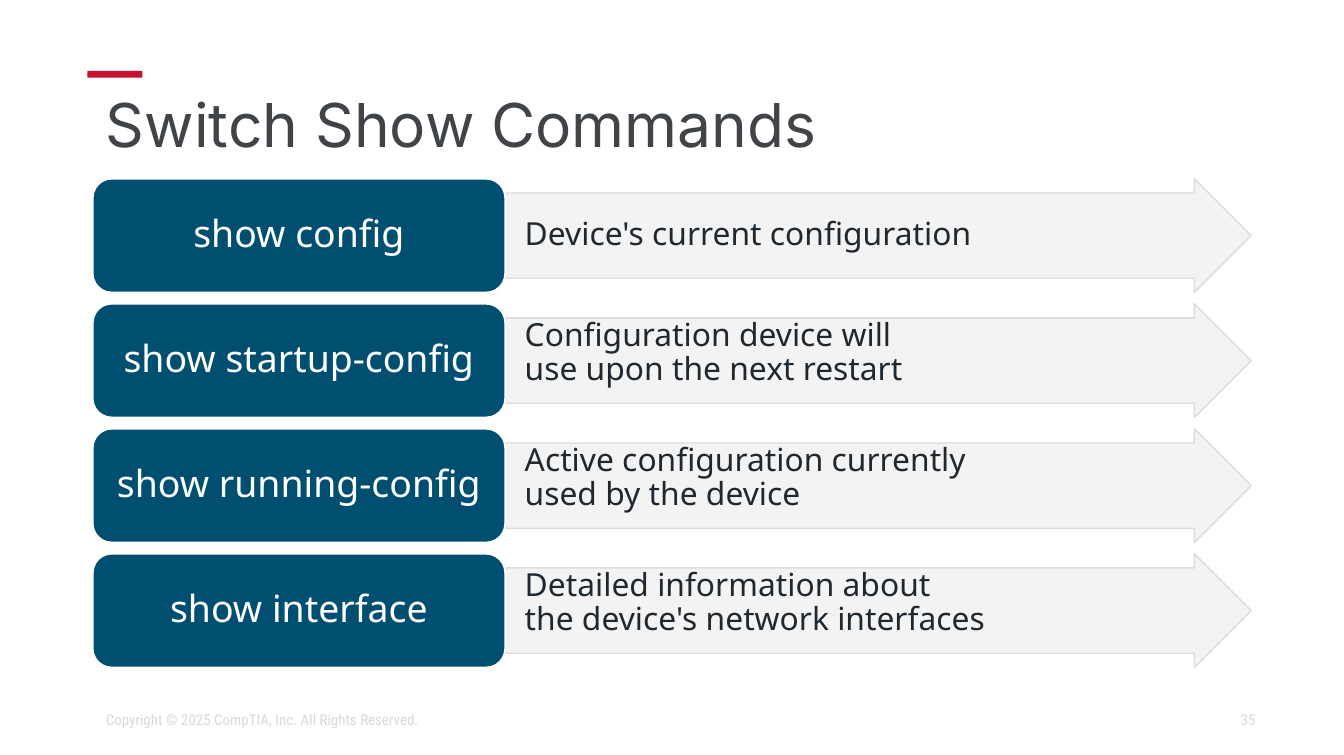
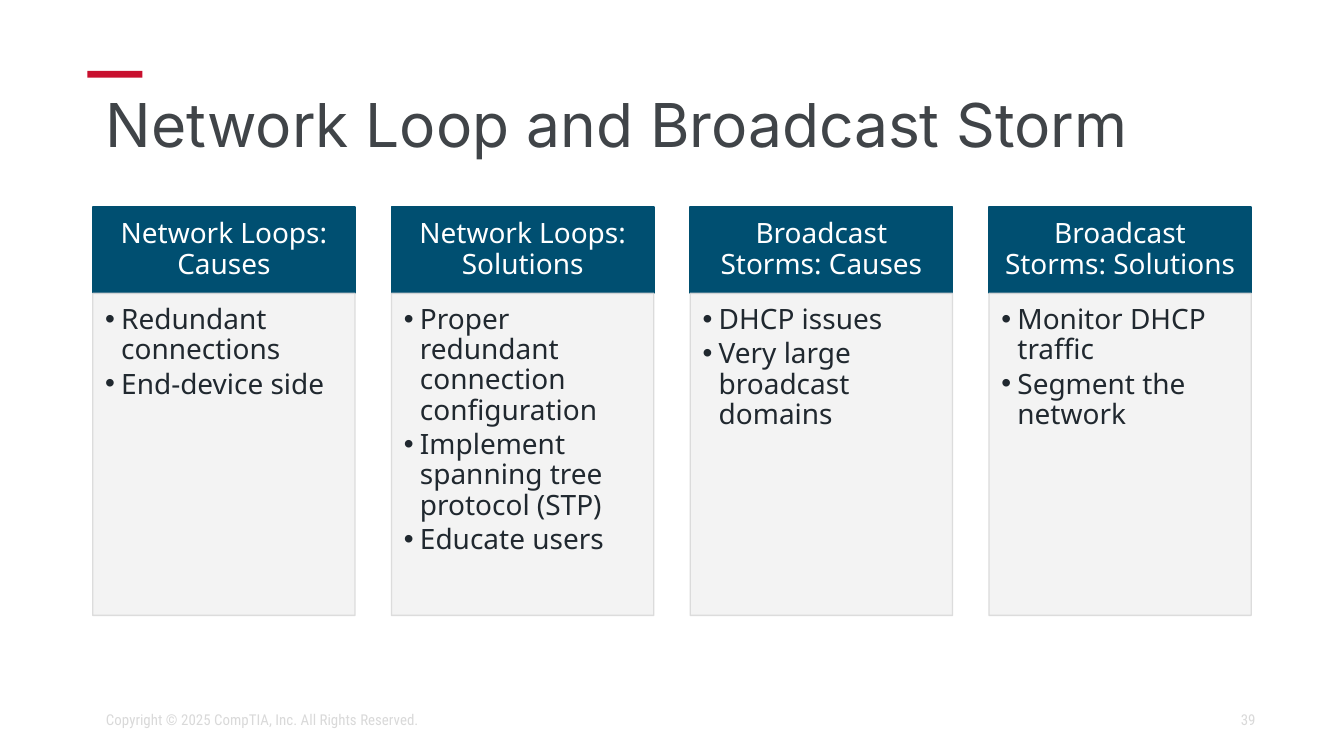
from copy import deepcopy
from dataclasses import dataclass

from lxml.etree import SubElement
from pptx import Presentation
from pptx.dml.color import RGBColor
from pptx.enum.shapes import MSO_SHAPE
from pptx.enum.text import MSO_ANCHOR, PP_ALIGN
from pptx.oxml.ns import qn
from pptx.util import Pt

SHOW = {
    "title": "Switch Show Commands",
    "page": "35",
    "rows": [
        ("show config", "Device's current configuration"),
        ("show startup-config", "Configuration device will\nuse upon the next restart"),
        ("show running-config", "Active configuration currently\nused by the device"),
        ("show interface", "Detailed information about\nthe device's network interfaces"),
    ],
}
STORM = {
    "title": "Network Loop and Broadcast Storm",
    "page": "39",
    "cols": [
        ("Network Loops: Causes", ["Redundant connections", "End-device side"]),
        ("Network Loops: Solutions", [
            "Proper redundant connection configuration",
            "Implement spanning tree protocol (STP)",
            "Educate users",
        ]),
        ("Broadcast Storms: Causes", ["DHCP issues", "Very large broadcast domains"]),
        ("Broadcast Storms: Solutions", ["Monitor DHCP traffic", "Segment the network"]),
    ],
}
RIGHTS = "Copyright © 2025 CompTIA, Inc. All Rights Reserved."


@dataclass(frozen=True)
class Theme:
    red: str = "C8102E"
    slate: str = "404448"
    blue: str = "004F71"
    edge: str = "004F70"
    ink: str = "20282F"
    white: str = "FFFFFF"
    pale: str = "F2F2F2"
    grey: str = "D9D9D9"
    head: str = "Inter"
    body: str = "Noto Sans"
    small: str = "Roboto Condensed"
    dot: str = "Arial"
    title: float = 32.4
    label: float = 20
    note: float = 17
    card: float = 15
    foot: float = 8


T = Theme()
WIDE, HIGH = 720, 404.64
LEFT, RIGHT = 49.7, 670.3
INSET = (7.2, 3.6, 7.2, 3.6)


def fade(fill):
    color = fill._xPr.find(qn("a:solidFill"))[0]
    SubElement(color, qn("a:alpha"), val="90000")


def draw(slide, kind, box, fill, line=None, width=1, clear=False):
    shape = slide.shapes.add_shape(kind, *map(Pt, box))
    shape.shadow.inherit = False
    shape.fill.solid()
    shape.fill.fore_color.rgb = RGBColor.from_string(fill)
    if line:
        shape.line.color.rgb = RGBColor.from_string(line)
        shape.line.width = Pt(width)
    else:
        shape.line.fill.background()
    if clear:
        fade(shape.fill)
        fade(shape.line.fill)
    return shape


def panel(slide, kind, box):
    return draw(slide, kind, box, T.pale, T.grey, 0.75, True)


def write(shape, items, font, size, color, align=PP_ALIGN.LEFT,
          anchor=MSO_ANCHOR.MIDDLE, inset=INSET, space=0.9, after=0, dots=False):
    frame = shape.text_frame
    frame.word_wrap = True
    frame.vertical_anchor = anchor
    (frame.margin_left, frame.margin_top,
     frame.margin_right, frame.margin_bottom) = map(Pt, inset)
    for num, item in enumerate(items):
        para = frame.add_paragraph() if num else frame.paragraphs[0]
        para.text = item
        para.alignment = align
        para.line_spacing = space
        para.space_after = Pt(round(size * after, 2))
        if dots:
            props = para._p.get_or_add_pPr()
            props.set("marL", str(Pt(8.64)))
            props.set("indent", str(-Pt(8.64)))
            SubElement(props, qn("a:buFont"), typeface=T.dot)
            SubElement(props, qn("a:buChar"), char="•")
        for run in para.runs:
            run.font.name = font
            run.font.size = Pt(size)
            run.font.color.rgb = RGBColor.from_string(color)
        for gap in para._p.findall(qn("a:br")):
            gap.append(deepcopy(para.runs[0]._r.rPr))


def label(slide, box, text, *style, **more):
    write(slide.shapes.add_textbox(*map(Pt, box)), [text], *style, **more)


def start(deck, data):
    slide = deck.slides.add_slide(deck.slide_layouts[6])
    draw(slide, MSO_SHAPE.RECTANGLE, (46.8, 38, 29.5, 3.6), T.red)
    label(slide, (LEFT, 46, RIGHT - LEFT, 45.4), data["title"], T.head, T.title, T.slate)
    foot = (T.small, T.foot, T.grey)
    label(slide, (508.3, 375, 171.4, 21.6), data["page"], *foot,
          align=PP_ALIGN.RIGHT, space=1)
    label(slide, (LEFT, 375, 310.3, 21.6), RIGHTS, *foot, space=1)
    return slide


def show(deck, data):
    slide = start(deck, data)
    top, high, step, wide = 95.8, 61, 67, 221
    for num, (name, note) in enumerate(data["rows"]):
        y = top + num * step
        x = LEFT + wide
        arrow = panel(slide, MSO_SHAPE.RIGHT_ARROW, (x, y, RIGHT - x, high))
        arrow.adjustments[0] = 0.75
        arrow.adjustments[1] = 0.5
        anchor = MSO_ANCHOR.TOP if "\n" in note else MSO_ANCHOR.MIDDLE
        write(arrow, [note], T.body, T.note, T.ink, anchor=anchor,
              inset=(10.4, 0.75, 0.75, 0.75), after=0.15)
        block = draw(slide, MSO_SHAPE.ROUNDED_RECTANGLE, (LEFT, y, wide, high),
                     T.blue, T.white)
        write(block, [name], T.body, T.label, T.white, PP_ALIGN.CENTER,
              inset=(6, 3, 6, 3), after=0.35)


def storm(deck, data):
    slide = start(deck, data)
    top, cap, deep, wide = 110.8, 46.4, 172.6, 140.5
    cols = data["cols"]
    step = (RIGHT - LEFT - wide) / (len(cols) - 1)
    for num, (name, items) in enumerate(cols):
        x = LEFT + num * step
        head = draw(slide, MSO_SHAPE.RECTANGLE, (x, top, wide, cap), T.blue, T.edge)
        write(head, [name], T.body, T.card, T.white, PP_ALIGN.CENTER,
              inset=(8.4, 4.8, 8.4, 4.8), after=0.35)
        card = panel(slide, MSO_SHAPE.RECTANGLE, (x, top + cap, wide, deep))
        write(card, items, T.body, T.card, T.ink, anchor=MSO_ANCHOR.TOP,
              inset=(6.6, 6.4, 8.5, 9.6), after=0.15, dots=True)


def main():
    deck = Presentation()
    deck.slide_width, deck.slide_height = Pt(WIDE), Pt(HIGH)
    show(deck, SHOW)
    storm(deck, STORM)
    deck.save("out.pptx")


if __name__ == "__main__":
    main()
